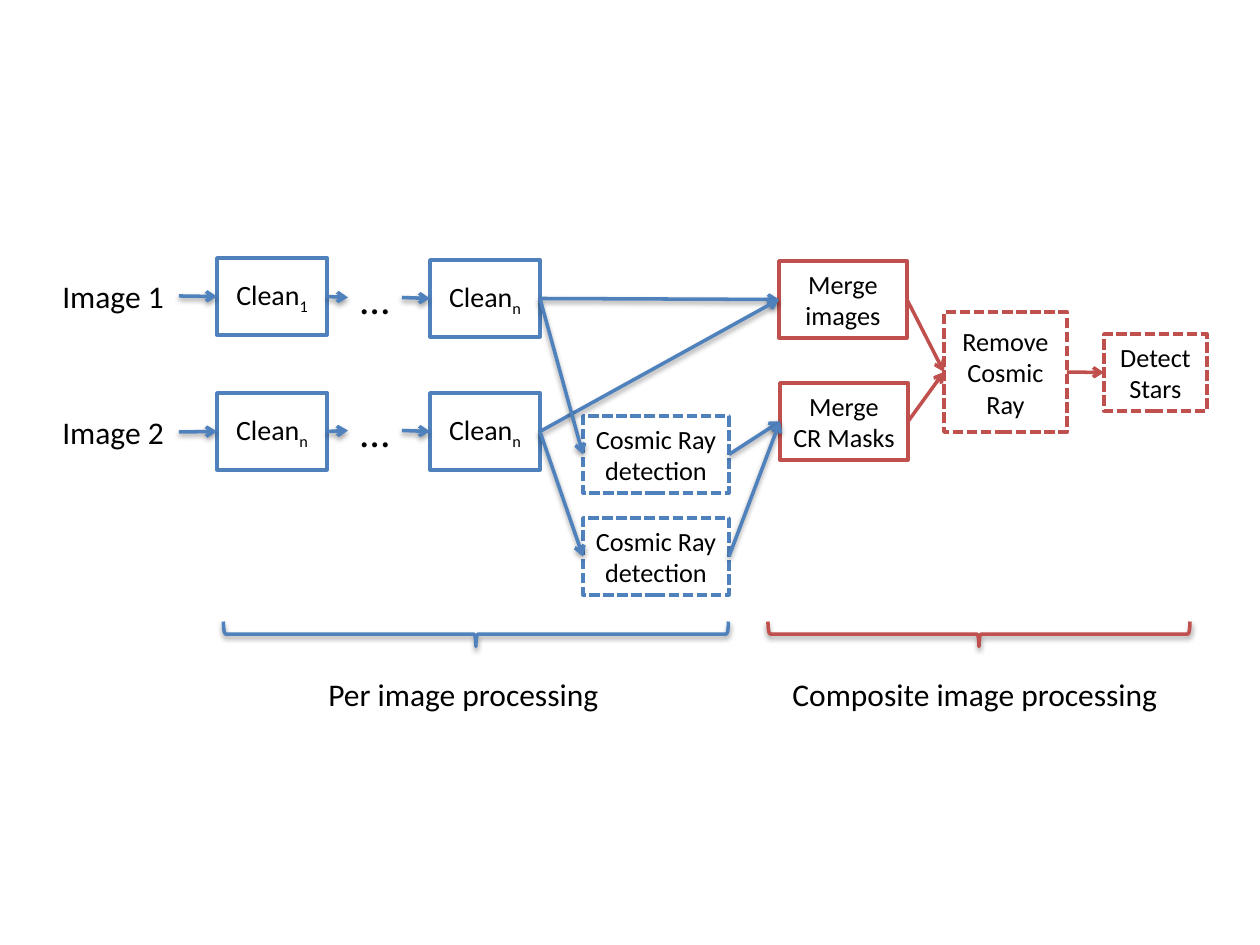
from dataclasses import dataclass

from lxml.etree import SubElement
from pptx import Presentation
from pptx.dml.color import RGBColor
from pptx.enum.dml import MSO_LINE
from pptx.enum.shapes import MSO_CONNECTOR, MSO_SHAPE
from pptx.enum.text import MSO_ANCHOR, MSO_AUTO_SIZE, PP_ALIGN
from pptx.oxml.ns import qn
from pptx.util import Pt

PX = 914400 / 126
FONT = "Calibri"
BLUE, RED, WHITE, BLACK = "4F81BD", "C0504D", "FFFFFF", "000000"
RIGHT_SITE, LEFT_SITE = 3, 1


@dataclass
class Step:
    key: str
    text: str
    left: int
    top: int
    width: int
    height: int = 77
    color: str = BLUE
    dashed: bool = False
    sub: str = ""
    size: int = 15


@dataclass
class Label:
    key: str
    text: str
    left: int
    top: int
    width: int
    height: int = 50
    size: int = 18


@dataclass
class Brace:
    center_x: int
    center_y: int
    length: int
    color: str


STEPS = [
    Step("clean1a", "Clean", 217, 258, 110, sub="1", size=16),
    Step("clean2a", "Clean", 217, 393, 110, sub="n", size=16),
    Step("clean1n", "Clean", 430, 260, 110, sub="n", size=16),
    Step("clean2n", "Clean", 430, 393, 110, sub="n", size=16),
    Step("detect1", "Cosmic Ray detection", 583, 416, 146, dashed=True),
    Step("detect2", "Cosmic Ray detection", 583, 518, 146, dashed=True),
    Step("merge", "Merge images", 779, 261, 128, color=RED),
    Step("masks", "Merge\vCR Masks", 780, 383, 128, color=RED),
    Step("remove", "Remove Cosmic Ray", 944, 312, 123, 120, RED, True),
    Step("stars", "Detect Stars", 1104, 334, 103, color=RED, dashed=True),
]
LABELS = [
    Label("image1", "Image 1", 50, 271, 129),
    Label("image2", "Image 2", 50, 407, 129),
    Label("dots1", "…", 348, 266, 54, 63, 24),
    Label("dots2", "…", 348, 399, 54, 63, 24),
    Label("per_image", "Per image processing", 316, 669, 300),
    Label("composite", "Composite image processing", 780, 669, 396),
]
CHAINS = {
    BLUE: [
        ("image1", "clean1a", "dots1", "clean1n", "merge"),
        ("image2", "clean2a", "dots2", "clean2n", "merge"),
        ("clean1n", "detect1", "masks"),
        ("clean2n", "detect2", "masks"),
    ],
    RED: [("merge", "remove", "stars"), ("masks", "remove")],
}
BRACES = [Brace(476, 634, 505, BLUE), Brace(979, 634, 422, RED)]
BRACE_DEPTH = 25


def px(*values):
    return [round(v * PX) for v in values]


def rgb(color: str) -> RGBColor:
    return RGBColor.from_string(color)


def set_line(sp, color: str) -> None:
    sp.line.color.rgb = rgb(color)
    sp.line.width = Pt(2)


def set_effects(sp, shadowed: bool) -> None:
    """Write the effect list: a soft shadow below, or none at all."""
    effects = SubElement(sp._element.spPr, qn("a:effectLst"))
    if shadowed:
        shadow = SubElement(effects, qn("a:outerShdw"), blurRad=str(Pt(3.1)),
                            dist=str(Pt(1.6)), dir="5400000", rotWithShape="0")
        color = SubElement(shadow, qn("a:srgbClr"), val=BLACK)
        SubElement(color, qn("a:alpha"), val="38000")


def format_runs(p, size: int) -> None:
    for r in p.runs:
        r.font.name = FONT
        r.font.size = Pt(size)
        r.font.color.rgb = rgb(BLACK)


def draw_step(slide, step: Step):
    sp = slide.shapes.add_shape(
        MSO_SHAPE.RECTANGLE, *px(step.left, step.top, step.width, step.height))
    if step.dashed:
        sp.fill.solid()
        sp.fill.fore_color.rgb = rgb(WHITE)
    else:
        sp.fill.background()
    set_line(sp, step.color)
    if step.dashed:
        sp.line.dash_style = MSO_LINE.SQUARE_DOT
    set_effects(sp, False)
    tf = sp.text_frame
    tf.word_wrap = True
    tf.vertical_anchor = MSO_ANCHOR.MIDDLE
    tf.margin_left, tf.margin_right = px(10, 10)
    p = tf.paragraphs[0]
    p.text = step.text
    p.alignment = PP_ALIGN.CENTER
    if step.sub:
        r = p.add_run()
        r.text = step.sub
        r._r.get_or_add_rPr().set("baseline", "-25000")
    format_runs(p, step.size)
    return sp


def draw_label(slide, label: Label):
    sp = slide.shapes.add_textbox(
        *px(label.left, label.top, label.width, label.height))
    tf = sp.text_frame
    tf.text = label.text
    tf.word_wrap = False
    tf.auto_size = MSO_AUTO_SIZE.SHAPE_TO_FIT_TEXT
    format_runs(tf.paragraphs[0], label.size)
    return sp


def draw_arrow(slide, source, target, color: str) -> None:
    line = slide.shapes.add_connector(MSO_CONNECTOR.STRAIGHT, 0, 0, 0, 0)
    line.begin_connect(source, RIGHT_SITE)
    line.end_connect(target, LEFT_SITE)
    set_line(line, color)
    SubElement(line.line._get_or_add_ln(), qn("a:tailEnd"), type="arrow")
    set_effects(line, color == BLUE)


def draw_brace(slide, brace: Brace) -> None:
    """Draw a left brace turned to point down."""
    left = brace.center_x - BRACE_DEPTH / 2
    top = brace.center_y - brace.length / 2
    sp = slide.shapes.add_shape(
        MSO_SHAPE.LEFT_BRACE, *px(left, top, BRACE_DEPTH, brace.length))
    sp.rotation = 270
    sp.fill.background()
    set_line(sp, brace.color)
    set_effects(sp, True)


def main() -> None:
    prs = Presentation()
    prs.slide_width, prs.slide_height = px(1260, 945)
    slide = prs.slides.add_slide(prs.slide_layouts[6])
    nodes = {step.key: draw_step(slide, step) for step in STEPS}
    nodes |= {label.key: draw_label(slide, label) for label in LABELS}
    for color, chains in CHAINS.items():
        for chain in chains:
            for source, target in zip(chain, chain[1:]):
                draw_arrow(slide, nodes[source], nodes[target], color)
    for brace in BRACES:
        draw_brace(slide, brace)
    prs.save("out.pptx")


if __name__ == "__main__":
    main()
